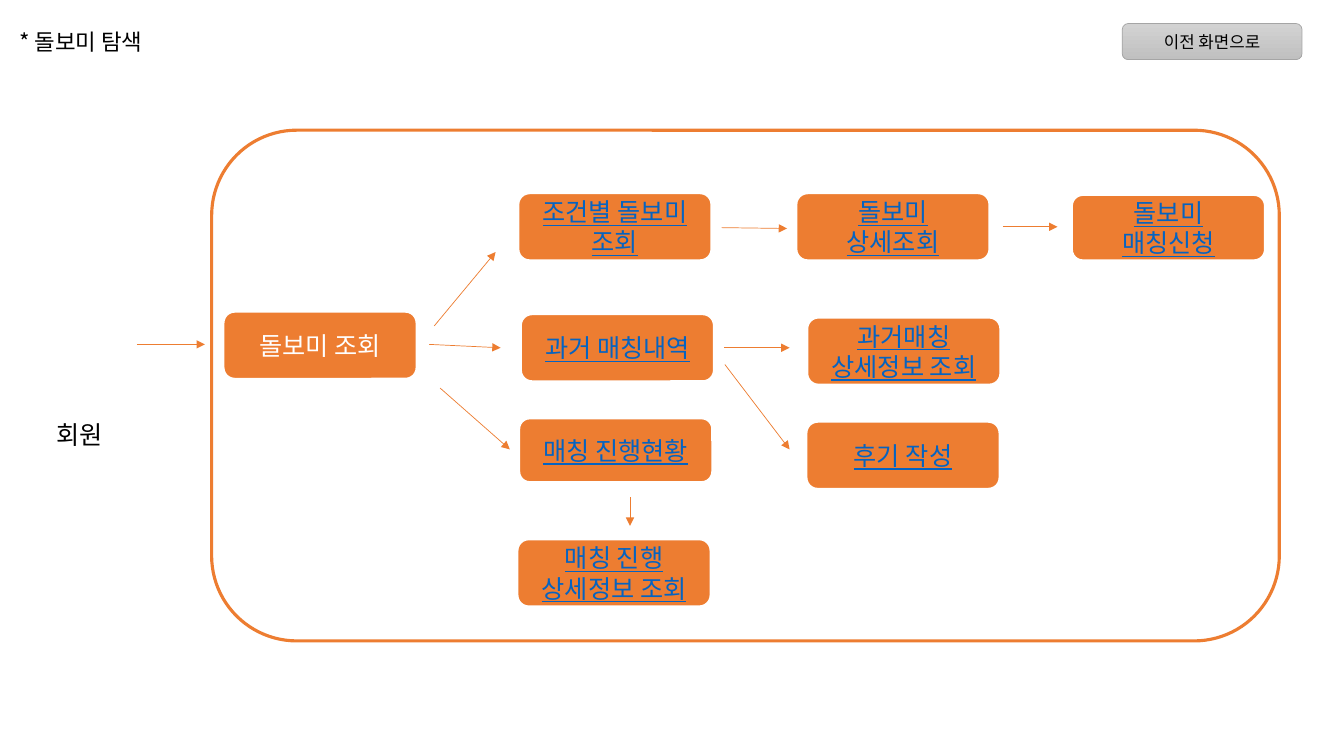
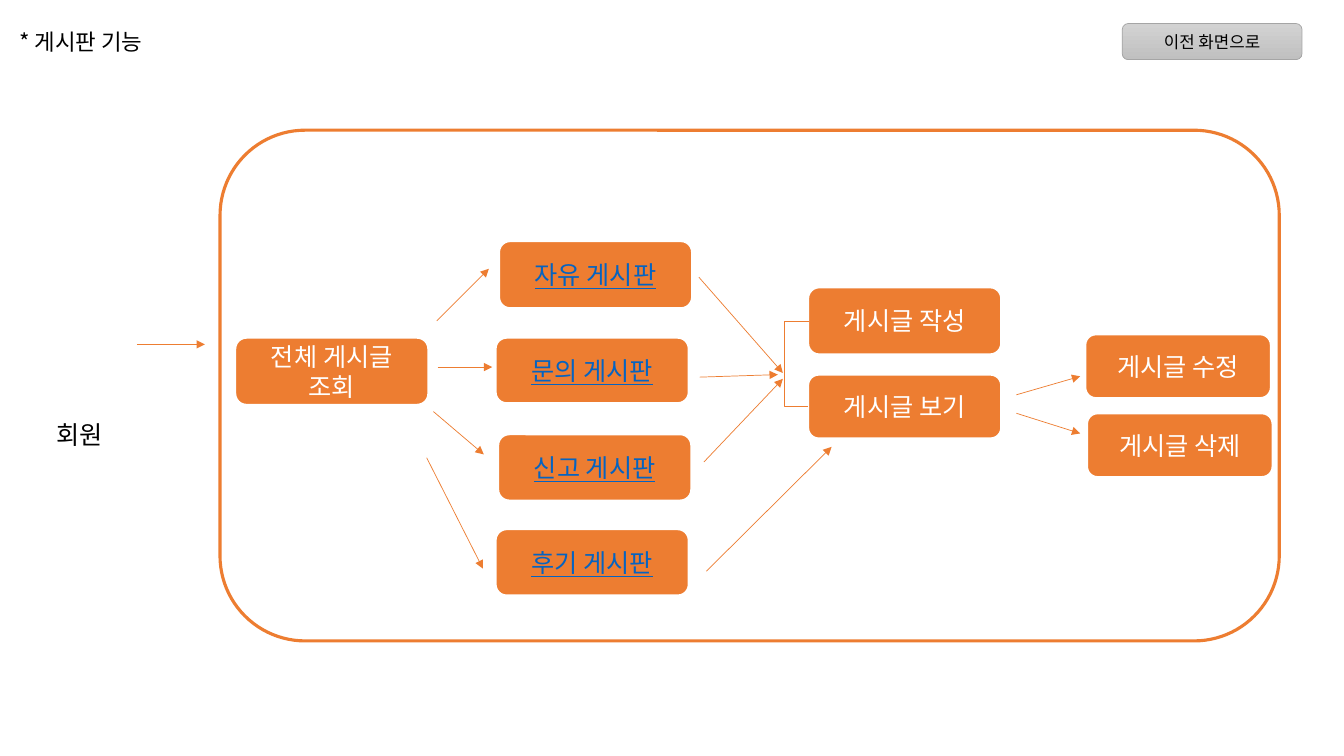
from lxml.etree import SubElement
from pptx import Presentation
from pptx.dml.color import RGBColor
from pptx.enum.shapes import MSO_CONNECTOR as CONN, MSO_SHAPE as SHAPE
from pptx.enum.text import MSO_ANCHOR as ANCHOR, MSO_AUTO_SIZE as FIT, PP_ALIGN as ALIGN
from pptx.oxml.ns import qn
from pptx.util import Inches, Pt

FONT = "Noto Sans CJK KR"
ORANGE, BLUE, WHITE, BLACK = "ED7D31", "0563C1", "FFFFFF", "000000"
GREY_TOP, GREY_BOTTOM, GREY_EDGE = "D2D2D2", "C0C0C0", "A5A5A5"
COLS, ROWS = 160, 90
BOX_W, BOX_H = 23, 8
FRAME_TOP, FRAME_RIGHT, FRAME_H = 15.5, 152.3, 60.8

prs = Presentation()
prs.slide_width, prs.slide_height = Inches(13.33), Inches(7.5)
CELL_W, CELL_H = prs.slide_width / COLS, prs.slide_height / ROWS


def paint(fill, color):
    fill.solid()
    fill.fore_color.rgb = RGBColor.from_string(color)


def write(sp, text, size, color, align=ALIGN.CENTER):
    tf = sp.text_frame
    tf.word_wrap, tf.auto_size = True, FIT.NONE
    tf.vertical_anchor = ANCHOR.MIDDLE
    tf.text = text
    p = tf.paragraphs[0]
    p.alignment = align
    p.font.size, p.font.name = Pt(size), FONT
    p.font.underline = color == BLUE
    paint(p.font.fill, color)
    SubElement(p._p.pPr.find(qn("a:defRPr")), qn("a:ea"), typeface=FONT)
    return tf


slides = [
    {
        "title": "* 돌보미 탐색",
        "frame_left": 25.2,
        "boxes": [
            ("돌보미 조회", WHITE, 26.6, 37.1, BOX_W, BOX_H),
            ("조건별 돌보미 조회", BLUE, 61.7, 23, BOX_W, BOX_H),
            ("돌보미 상세조회", BLUE, 94.8, 23, BOX_W, BOX_H),
            ("돌보미 매칭신청", BLUE, 127.6, 23.2, BOX_W, 7.8),
            ("과거 매칭내역", BLUE, 62, 37.4, BOX_W, BOX_H),
            ("과거매칭 상세정보 조회", BLUE, 96.1, 37.8, BOX_W, BOX_H),
            ("후기 작성", BLUE, 96, 50.2, BOX_W, BOX_H),
            ("매칭 진행현황", BLUE, 61.8, 49.8, BOX_W, 7.6),
            ("매칭 진행 상세정보 조회", BLUE, 61.6, 64.2, BOX_W, BOX_H),
        ],
        "arrows": [
            (51.7, 38.8, 59, 30),
            (51.1, 41, 59.6, 41.4),
            (52.4, 46.2, 60.7, 53.5),
            (85.9, 27.1, 93.7, 27.2),
            (119.4, 27, 125.9, 27),
            (86.2, 41.4, 94, 41.4),
            (86.3, 43.4, 94, 53.5),
            (75, 59.2, 75, 62.6),
        ],
        "brackets": [],
    },
    {
        "title": "* 게시판 기능",
        "frame_left": 26.2,
        "boxes": [
            ("전체 게시글 조회", WHITE, 28, 40.2, BOX_W, BOX_H),
            ("자유 게시판", BLUE, 59.4, 28.7, BOX_W, BOX_H),
            ("문의 게시판", BLUE, 59, 40.2, BOX_W, 7.8),
            ("신고 게시판", BLUE, 59.3, 51.7, BOX_W, 7.9),
            ("후기 게시판", BLUE, 59, 63, BOX_W, 7.9),
            ("게시글 작성", WHITE, 96.2, 34.2, BOX_W, BOX_H),
            ("게시글 보기", WHITE, 96.2, 44.6, BOX_W, 7.6),
            ("게시글 수정", WHITE, 129.2, 39.8, 22.1, 7.6),
            ("게시글 삭제", WHITE, 129.4, 49.2, 22.1, 7.6),
        ],
        "arrows": [
            (52, 38.2, 58.2, 32),
            (52.1, 43.7, 58.6, 43.7),
            (51.6, 49, 57.6, 54.1),
            (50.8, 54.5, 57.5, 67.7),
            (83.2, 33, 93.2, 44.4),
            (83.3, 44.9, 92.6, 44.6),
            (83.8, 55, 93.2, 45.1),
            (84.1, 68, 99, 53.2),
            (121, 47, 128.6, 44.8),
            (121, 49.2, 128.6, 51.6),
        ],
        "brackets": [(96.36, 38.2, 96.24, 48.4)],
    },
]
MEMBER_ARROW = (16.3, 41, 24.4, 41)
BRACKET_DEPTH = 3

for content in slides:
    s = prs.slides.add_slide(prs.slide_layouts[5])
    title = s.shapes.title
    title.left, title.top = int(2.3 * CELL_W), int(3.4 * CELL_H)
    title.width, title.height = int(60 * CELL_W), int(3.2 * CELL_H)
    tf = write(title, content["title"], 16, BLACK, ALIGN.LEFT)
    tf.margin_left = tf.margin_right = tf.margin_top = tf.margin_bottom = 0

    left = content["frame_left"]
    frame = ("", None, left, FRAME_TOP, FRAME_RIGHT - left, FRAME_H)
    button = ("이전 화면으로", BLACK, 133.6, 2.8, 21.4, 4.3)
    for box in [frame, *content["boxes"], button]:
        text, color, x, y, w, h = box
        sp = s.shapes.add_shape(SHAPE.ROUNDED_RECTANGLE, int(x * CELL_W), int(y * CELL_H),
                                int(w * CELL_W), int(h * CELL_H))
        sp.shadow.inherit = False
        if box is frame:
            sp.fill.background()
            edge, weight = ORANGE, 2.25
        elif box is button:
            sp.fill.gradient()
            sp.fill.gradient_angle = 270
            for stop, grey in zip(sp.fill.gradient_stops, (GREY_TOP, GREY_BOTTOM)):
                stop.color.rgb = RGBColor.from_string(grey)
            edge, weight = GREY_EDGE, 0.5
        else:
            paint(sp.fill, ORANGE)
            edge, weight = WHITE, 1.5
        paint(sp.line.fill, edge)
        sp.line.width = Pt(weight)
        if text:
            write(sp, text, 12 if box is button else 18, color)

    member = s.shapes.add_textbox(int(2.8 * CELL_W), int(49.3 * CELL_H),
                                  int(13.4 * CELL_W), int(4.9 * CELL_H))
    write(member, "회원", 18, BLACK)

    for kind, lines in ((CONN.STRAIGHT, [MEMBER_ARROW, *content["arrows"]]),
                        (CONN.ELBOW, content["brackets"])):
        for x1, y1, x2, y2 in lines:
            cn = s.shapes.add_connector(kind, int(x1 * CELL_W), int(y1 * CELL_H),
                                        int(x2 * CELL_W), int(y2 * CELL_H))
            paint(cn.line.fill, ORANGE)
            cn.line.width = Pt(0.5)
            props = cn._element.spPr
            SubElement(props, qn("a:effectLst"))
            if kind == CONN.STRAIGHT:
                SubElement(props.find(qn("a:ln")), qn("a:tailEnd"), type="triangle")
            else:
                bend = round(BRACKET_DEPTH / (x1 - x2) * 100000)
                SubElement(props.prstGeom.get_or_add_avLst(), qn("a:gd"),
                           name="adj1", fmla=f"val {bend}")

prs.save("out.pptx")
